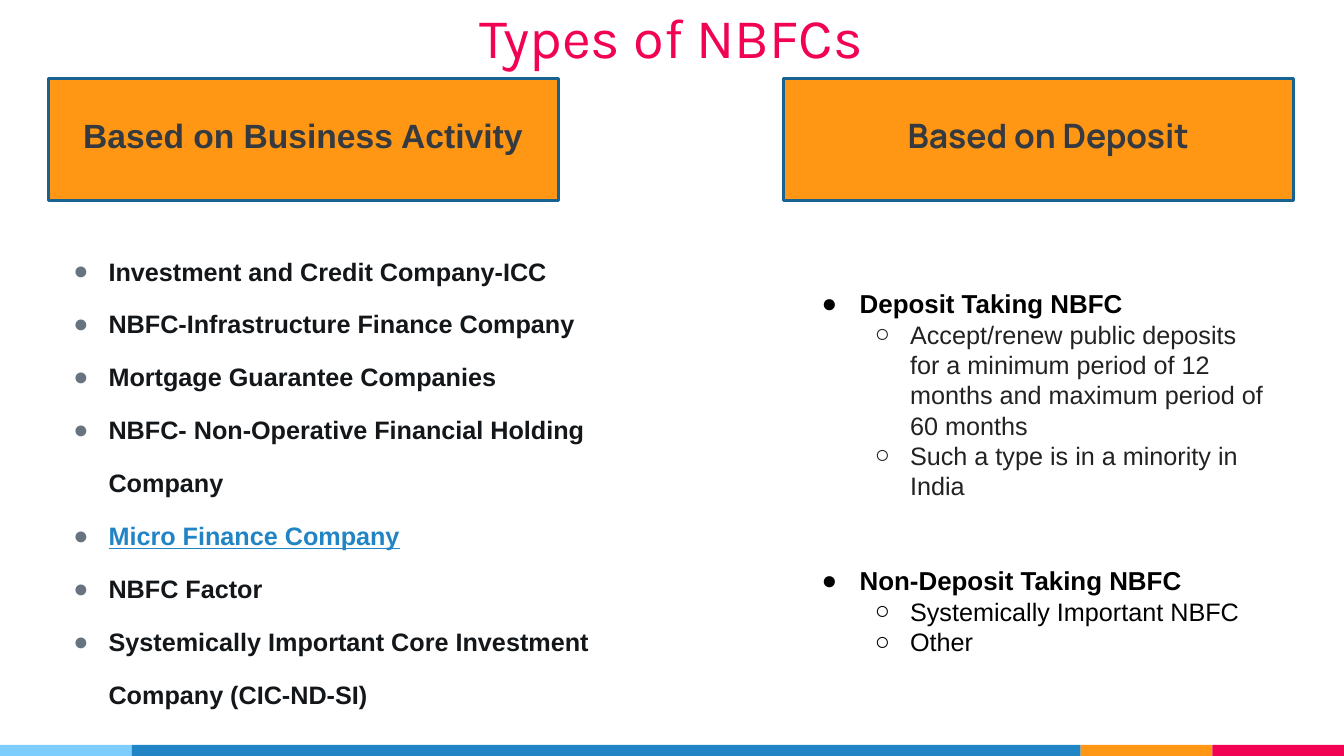
from dataclasses import dataclass
from itertools import accumulate

from lxml.etree import SubElement
from pptx import Presentation
from pptx.dml.color import RGBColor
from pptx.enum.shapes import MSO_SHAPE
from pptx.enum.text import MSO_ANCHOR, PP_ALIGN
from pptx.oxml.ns import qn
from pptx.util import Pt


@dataclass(frozen=True)
class Theme:
    sky: str = "7ECEFD"
    blue: str = "2185C5"
    navy: str = "186292"
    orange: str = "FF9715"
    pink: str = "F20253"
    heading: str = "343A40"
    ink: str = "13171A"
    slate: str = "677480"
    dark: str = "222222"
    black: str = "000000"
    body_font: str = "Arial"
    title_size: float = 40
    heading_size: float = 24
    topic_size: float = 18.5
    body_size: float = 18


T = Theme()


def set_format(target, values):
    for name, value in values.items():
        setattr(target, name, value)


def add_box(s, x, y, w, h, fill, line=None):
    sp = s.shapes.add_shape(MSO_SHAPE.RECTANGLE, Pt(x), Pt(y), Pt(w), Pt(h))
    sp.shadow.inherit = False
    sp.fill.solid()
    sp.fill.fore_color.rgb = RGBColor.from_string(fill)
    if line:
        sp.line.color.rgb = RGBColor.from_string(line)
        sp.line.width = Pt(2)
    else:
        sp.line.fill.background()


def add_text_frame(s, x, y, w, h, right=7.2):
    tf = s.shapes.add_textbox(Pt(x), Pt(y), Pt(w), Pt(h)).text_frame
    set_format(tf, {"word_wrap": True, "vertical_anchor": MSO_ANCHOR.MIDDLE,
                    "margin_left": Pt(7.2), "margin_right": Pt(right),
                    "margin_top": Pt(7.2), "margin_bottom": Pt(7.2)})
    return tf


def add_run(p, text, size, color, font=T.body_font, **style):
    r = p.add_run()
    r.text = text
    set_format(r.font, {"name": font, "size": Pt(size), **style})
    r.font.color.rgb = RGBColor.from_string(color)


def add_heading(s, x, y, w, h, text, size, color, font, bold=True):
    p = add_text_frame(s, x, y, w, h).paragraphs[0]
    p.alignment = PP_ALIGN.CENTER
    add_run(p, text, size, color, font, bold=bold)


def set_bullet(p, char, color, left, hang):
    pPr = p._p.get_or_add_pPr()
    pPr.set("marL", str(Pt(left)))
    pPr.set("indent", str(-Pt(hang)))
    SubElement(SubElement(pPr, qn("a:buClr")), qn("a:srgbClr"), val=color)
    SubElement(pPr, qn("a:buFont"), typeface=T.body_font)
    SubElement(pPr, qn("a:buChar"), char=char)


def next_paragraph(tf, first):
    return tf.paragraphs[0] if first else tf.add_paragraph()


def add_activity_list(s, items, linked):
    tf = add_text_frame(s, 34.5, 208.8, 480.2, 255.6, right=36)
    for i, text in enumerate(items):
        p = next_paragraph(tf, i == 0)
        p.line_spacing = 1.75
        set_bullet(p, "●", T.slate, 36, 25.2)
        is_link = text == linked
        add_run(p, text, T.body_size, T.blue if is_link else T.ink,
                bold=True, underline=is_link)


def add_deposit_list(s, groups):
    tf = add_text_frame(s, 571, 265, 342.7, 144.7)
    for i, (topic, color, details) in enumerate(groups):
        p = next_paragraph(tf, i == 0)
        p.space_before = Pt(46 if i else 0)
        set_bullet(p, "●", T.black, 36, 27.2)
        add_run(p, topic, T.topic_size, T.black, bold=True)
        for text in details:
            p = tf.add_paragraph()
            p.level = 1
            set_bullet(p, "○", color, 72, 25.2)
            add_run(p, text, T.body_size, color, bold=False)


def main():
    prs = Presentation()
    prs.slide_width, prs.slide_height = Pt(960), Pt(540)
    s = prs.slides.add_slide(prs.slide_layouts[6])

    # Footer stripe
    widths = [94, 678, 94, 94]
    for x, w, fill in zip(accumulate([0] + widths), widths,
                          [T.sky, T.blue, T.orange, T.pink]):
        add_box(s, x, 532, w, 8, fill)

    # Heading panels
    for x in (34.5, 559.5):
        add_box(s, x, 56, 364.5, 87, T.orange, T.navy)

    # Title and headings
    add_heading(s, 320.4, -40.3, 318.2, 131.8, "Types of NBFCs",
                T.title_size, T.pink, "Karla", bold=False)
    add_heading(s, -16.5, 30.5, 465.8, 131.8, "Based on Business Activity",
                T.heading_size, T.heading, T.body_font)
    add_heading(s, 589.7, 30.5, 318.2, 131.8, "Based on Deposit",
                T.heading_size, T.heading, "Manrope")

    # Lists
    add_activity_list(s, [
        "Investment and Credit Company-ICC",
        "NBFC-Infrastructure Finance Company",
        "Mortgage Guarantee Companies",
        "NBFC- Non-Operative Financial Holding Company",
        "Micro Finance Company",
        "NBFC Factor",
        "Systemically Important Core Investment Company (CIC-ND-SI)",
    ], linked="Micro Finance Company")
    add_deposit_list(s, [
        ("Deposit Taking NBFC", T.dark, [
            "Accept/renew public deposits for a minimum period of 12 months "
            "and maximum period of 60 months",
            "Such a type is in a minority in India"]),
        ("Non-Deposit Taking NBFC", T.black, [
            "Systemically Important NBFC", "Other"]),
    ])
    prs.save("out.pptx")


if __name__ == "__main__":
    main()
